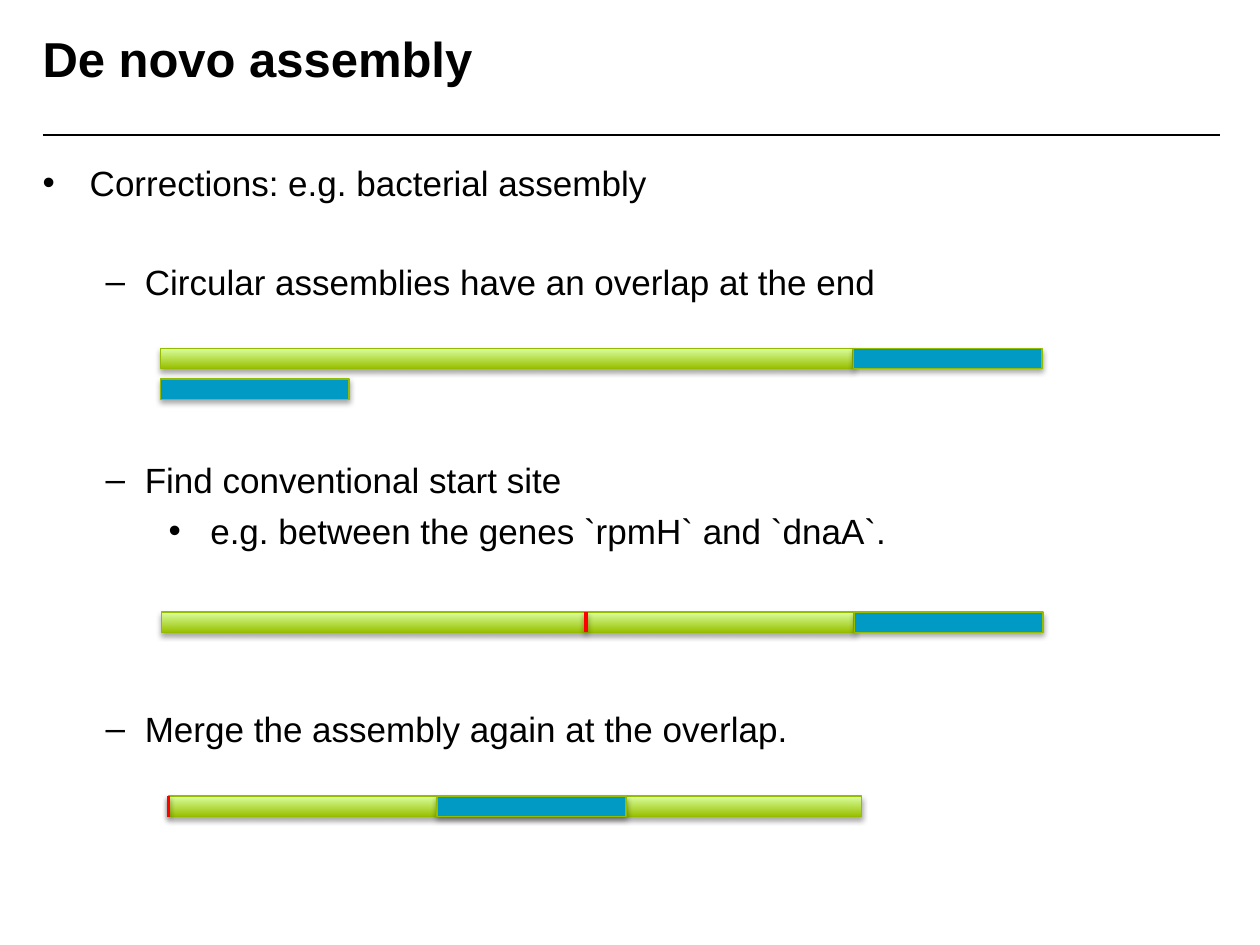
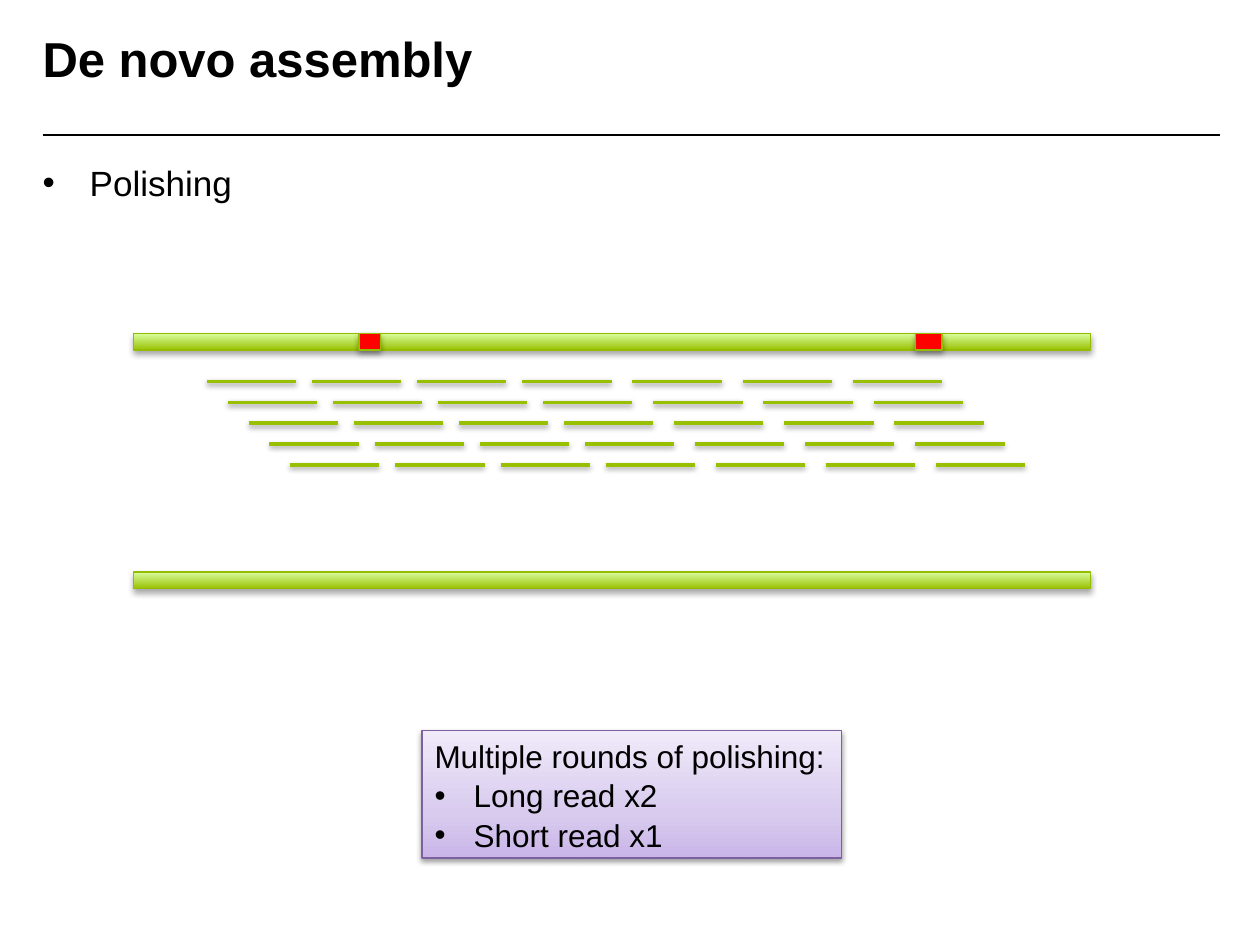
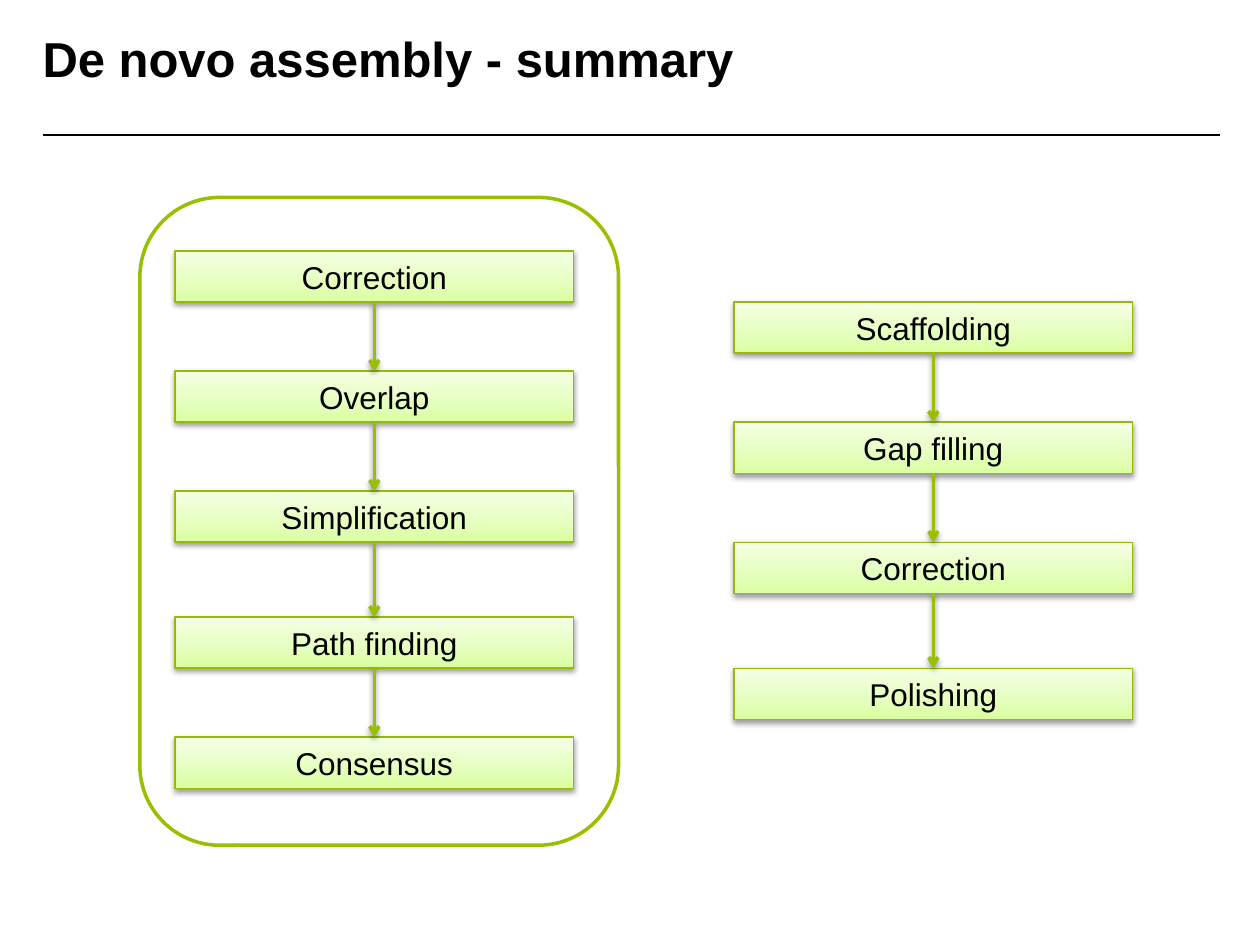
from lxml.etree import SubElement
from copy import deepcopy

from pptx import Presentation
from pptx.dml.color import RGBColor
from pptx.enum.shapes import MSO_CONNECTOR, MSO_SHAPE
from pptx.enum.text import MSO_ANCHOR, PP_ALIGN
from pptx.oxml.ns import qn
from pptx.util import Cm, Pt

FONT = "Arial"
BLACK = RGBColor(0x00, 0x00, 0x00)
RED = RGBColor(0xFF, 0x00, 0x00)
BLUE = RGBColor(0x00, 0x9A, 0xC5)
GREEN = RGBColor(0x98, 0xC0, 0x00)
GREEN_EDGE = RGBColor(0x95, 0xBC, 0x00)
PURPLE_EDGE = RGBColor(0x7D, 0x60, 0xA0)

# Gradient stops run from the bottom edge to the top edge.
BAR_GRADIENT = ((0, GREEN), (1, RGBColor(0xDA, 0xFF, 0xA0)))
STEP_GRADIENT = ((0, RGBColor(0xDA, 0xFF, 0xA0)), (0.35, RGBColor(0xE4, 0xFF, 0xBC)),
                 (1, RGBColor(0xF5, 0xFF, 0xE5)))
NOTE_GRADIENT = ((0, RGBColor(0xC9, 0xB5, 0xE8)), (0.35, RGBColor(0xD8, 0xCB, 0xEE)),
                 (1, RGBColor(0xF0, 0xEA, 0xF9)))

STRONG_SHADOW = {"alpha": 35000, "dist": 23000}
SOFT_SHADOW = {"alpha": 38000, "dist": 20000}

TITLE_BOX = (0.86, 0.58, 18.47, 1.6)
BODY_BOX = (0.86, 3.25, 23.72, 13.77)
RULE = (0.86, 2.72, 24.59, 2.72)

# Outline level: bullet, left margin and hanging indent in cm
LEVELS = (("•", 0.95, 0.95), ("–", 2.06, 0.79), ("•", 3.38, 0.84))
LINE_GAP = 5
LINE_PITCH = 28

BAR_HEIGHT = 0.41
CONTIG_WIDTH = 13.97
OVERLAP_WIDTH = 3.81

STEP_WIDTH, STEP_HEIGHT = 8.03, 1.03
STEP_OFFSETS = (0, 2.42, 4.84, 7.38, 9.8)


def add_shadow(item, alpha, dist):
    effects = SubElement(item._element.spPr, qn("a:effectLst"))
    outer = SubElement(effects, qn("a:outerShdw"), blurRad="40000", dist=str(dist),
                       dir="5400000", rotWithShape="0")
    black = SubElement(outer, qn("a:srgbClr"), val=str(BLACK))
    SubElement(black, qn("a:alpha"), val=str(alpha))


def add_line(slide, ends, color, width=2, shadow=SOFT_SHADOW, arrow=False):
    line = slide.shapes.add_connector(MSO_CONNECTOR.STRAIGHT, *map(Cm, ends))
    line.line.color.rgb = color
    line.line.width = Pt(width)
    if arrow:
        SubElement(line.line._get_or_add_ln(), qn("a:tailEnd"), type="arrow")
    if shadow:
        add_shadow(line, **shadow)
    else:
        SubElement(line._element.spPr, qn("a:effectLst"))


def fill_gradient(shape, stops):
    shape.fill.gradient()
    shape.fill.gradient_angle = 90
    stop_list = shape._element.spPr.find(".//" + qn("a:gsLst"))
    while len(stop_list) < len(stops):
        stop_list.append(deepcopy(stop_list[-1]))
    for stop, (position, color) in zip(shape.fill.gradient_stops, stops):
        stop.position = position
        stop.color.rgb = color


def add_block(slide, box, fill, edge=GREEN_EDGE, shadow=STRONG_SHADOW):
    """Add a shadowed rectangle; fill is one colour or a tuple of gradient stops."""
    block = slide.shapes.add_shape(MSO_SHAPE.RECTANGLE, *map(Cm, box))
    if isinstance(fill, RGBColor):
        block.fill.solid()
        block.fill.fore_color.rgb = fill
    else:
        fill_gradient(block, fill)
    block.line.color.rgb = edge
    block.line.width = Pt(0.75)
    add_shadow(block, **shadow)
    return block


def write(paragraph, text, size, bold=False, align=PP_ALIGN.LEFT, before=0):
    paragraph.alignment = align
    paragraph.space_before = Pt(before)
    run = paragraph.add_run()
    run.text = text
    style = {"name": FONT, "size": Pt(size), "bold": bold}
    for attribute, value in style.items():
        setattr(run.font, attribute, value)
    run.font.color.rgb = BLACK


def set_bullet(paragraph, bullet, margin, hanging):
    properties = paragraph._p.get_or_add_pPr()
    properties.set("marL", str(Cm(margin)))
    properties.set("indent", str(-Cm(hanging)))
    SubElement(properties, qn("a:buFont"), typeface=FONT)
    SubElement(properties, qn("a:buChar"), char=bullet)


def next_paragraph(frame, index):
    return frame.add_paragraph() if index else frame.paragraphs[0]


def add_text_area(slide, box):
    frame = slide.shapes.add_textbox(*map(Cm, box)).text_frame
    layout = {"word_wrap": True, "vertical_anchor": MSO_ANCHOR.TOP, "margin_left": 0,
              "margin_top": 0, "margin_right": 0, "margin_bottom": 0}
    for attribute, value in layout.items():
        setattr(frame, attribute, value)
    return frame


def add_titled_slide(deck, title):
    slide = deck.slides.add_slide(deck.slide_layouts[6])
    add_line(slide, RULE, BLACK, width=1, shadow=None)
    write(add_text_area(slide, TITLE_BOX).paragraphs[0], title, 28, bold=True)
    return slide


def add_outline(slide, items):
    """Write (level, lines left free above, text) items into the body."""
    frame = add_text_area(slide, BODY_BOX)
    for index, (level, free_lines, text) in enumerate(items):
        paragraph = next_paragraph(frame, index)
        set_bullet(paragraph, *LEVELS[level])
        gap = LINE_GAP + free_lines * LINE_PITCH if index else 0
        write(paragraph, text, 20, before=gap)


def add_contig(slide, left, top, overlap_offset, start_site=None):
    """Draw an assembly bar with its overlap and, if given, its start site."""
    add_block(slide, (left, top, CONTIG_WIDTH, BAR_HEIGHT), BAR_GRADIENT)
    add_block(slide, (left + overlap_offset, top, OVERLAP_WIDTH, BAR_HEIGHT), BLUE)
    if start_site is not None:
        site = left + start_site
        add_line(slide, (site, top, site, top + BAR_HEIGHT), RED)


def add_reads(slide, left, top):
    """Draw staggered rows of reads; the later columns stand further apart."""
    length, stagger = 1.8, 0.42
    columns = [2.12 * n + 0.1 * max(0, n - 3) for n in range(7)]
    for column in columns:
        for row in range(5):
            start = left + column + row * stagger
            level = top + row * stagger
            add_line(slide, (start, level, start + length, level), GREEN)


def add_polished_bar(slide, left, top, errors=()):
    height = 0.34
    add_block(slide, (left, top, 19.3, height), BAR_GRADIENT)
    for offset, width in errors:
        add_block(slide, (left + offset, top, width, height), RED)


def add_rounds_note(slide, box):
    note = add_block(slide, box, NOTE_GRADIENT, PURPLE_EDGE, SOFT_SHADOW)
    frame = note.text_frame
    frame.word_wrap = False
    frame.vertical_anchor = MSO_ANCHOR.TOP
    lines = ("Multiple rounds of polishing:", "Long read x2", "Short read x1")
    for index, text in enumerate(lines):
        paragraph = next_paragraph(frame, index)
        if index:
            set_bullet(paragraph, "•", 0.79, 0.79)
        write(paragraph, text, 18, before=1 if index else 0)


def add_step_chain(slide, left, top, steps):
    """Stack the steps and join each one to the next with an arrow."""
    tops = [top + offset for offset in STEP_OFFSETS[:len(steps)]]
    for text, step_top in zip(steps, tops):
        step = add_block(slide, (left, step_top, STEP_WIDTH, STEP_HEIGHT),
                         STEP_GRADIENT, shadow=SOFT_SHADOW)
        step.text_frame.vertical_anchor = MSO_ANCHOR.MIDDLE
        write(step.text_frame.paragraphs[0], text, 18, align=PP_ALIGN.CENTER)
    center = left + STEP_WIDTH / 2
    for upper, lower in zip(tops, tops[1:]):
        add_line(slide, (center, upper + STEP_HEIGHT, center, lower), GREEN, arrow=True)


def add_stage_frame(slide, box):
    frame = slide.shapes.add_shape(MSO_SHAPE.ROUNDED_RECTANGLE, *map(Cm, box))
    frame.shadow.inherit = False
    frame.fill.background()
    frame.line.color.rgb = GREEN
    frame.line.width = Pt(2)


def build_corrections(deck):
    slide = add_titled_slide(deck, "De novo assembly")
    add_outline(slide, (
        (0, 0, "Corrections: e.g. bacterial assembly"),
        (1, 1, "Circular assemblies have an overlap at the end"),
        (1, 3, "Find conventional start site"),
        (2, 0, "e.g. between the genes `rpmH` and `dnaA`."),
        (1, 3, "Merge the assembly again at the overlap."),
    ))
    add_contig(slide, 3.23, 7.02, CONTIG_WIDTH)
    add_block(slide, (3.23, 7.64, OVERLAP_WIDTH, BAR_HEIGHT), BLUE)
    add_contig(slide, 3.25, 12.34, CONTIG_WIDTH, start_site=8.56)
    add_contig(slide, 3.4, 16.05, 5.41, start_site=0)


def build_polishing(deck):
    slide = add_titled_slide(deck, "De novo assembly")
    add_outline(slide, ((0, 0, "Polishing"),))
    add_reads(slide, 4.17, 7.69)
    add_polished_bar(slide, 2.69, 6.72, errors=((4.55, 0.43), (15.77, 0.53)))
    add_polished_bar(slide, 2.69, 11.53)
    add_rounds_note(slide, (8.51, 14.73, 8.46, 2.57))


def build_summary(deck):
    slide = add_titled_slide(deck, "De novo assembly - summary")
    add_stage_frame(slide, (2.82, 3.98, 9.65, 13.06))
    add_step_chain(slide, 3.53, 5.06, (
        "Correction", "Overlap", "Simplification", "Path finding", "Consensus"))
    add_step_chain(slide, 14.8, 6.09, (
        "Scaffolding", "Gap filling", "Correction", "Polishing"))


def main():
    deck = Presentation()
    deck.slide_width, deck.slide_height = Cm(25.4), Cm(19.05)
    build_corrections(deck)
    build_polishing(deck)
    build_summary(deck)
    deck.save("out.pptx")


if __name__ == "__main__":
    main()
